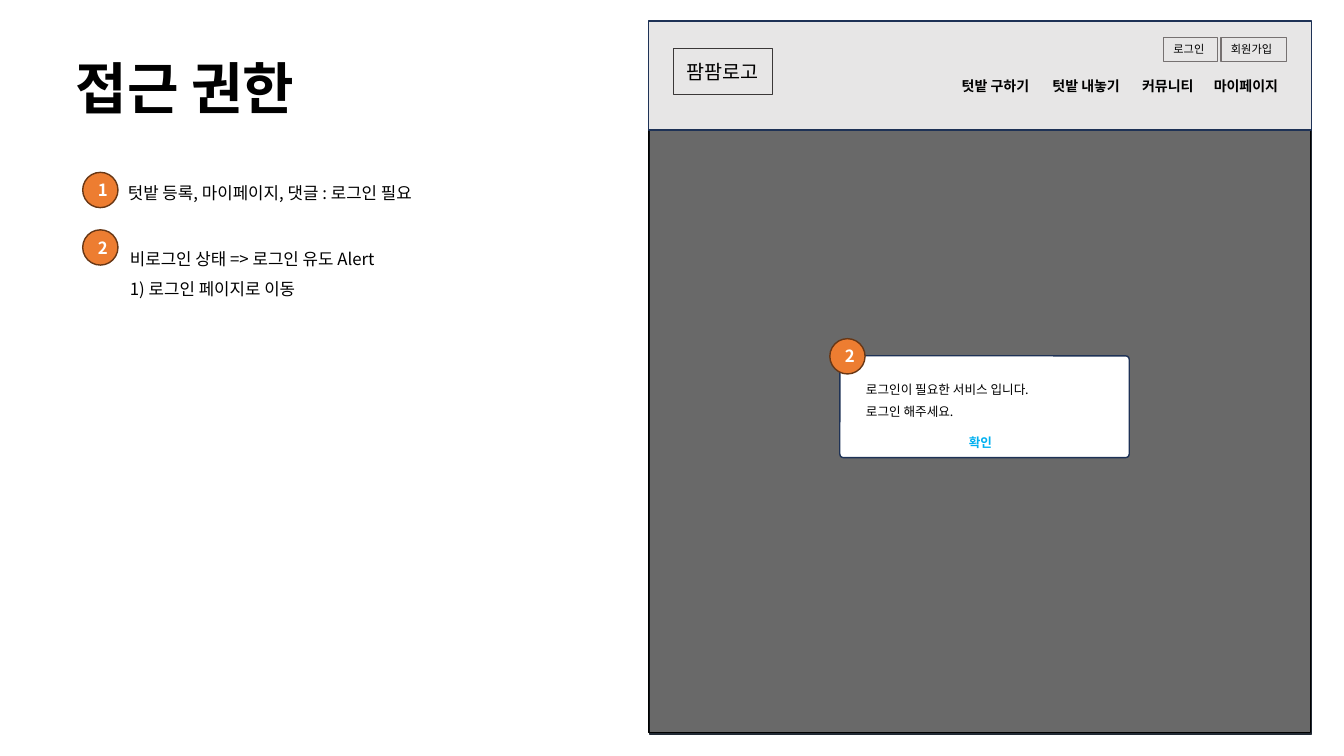
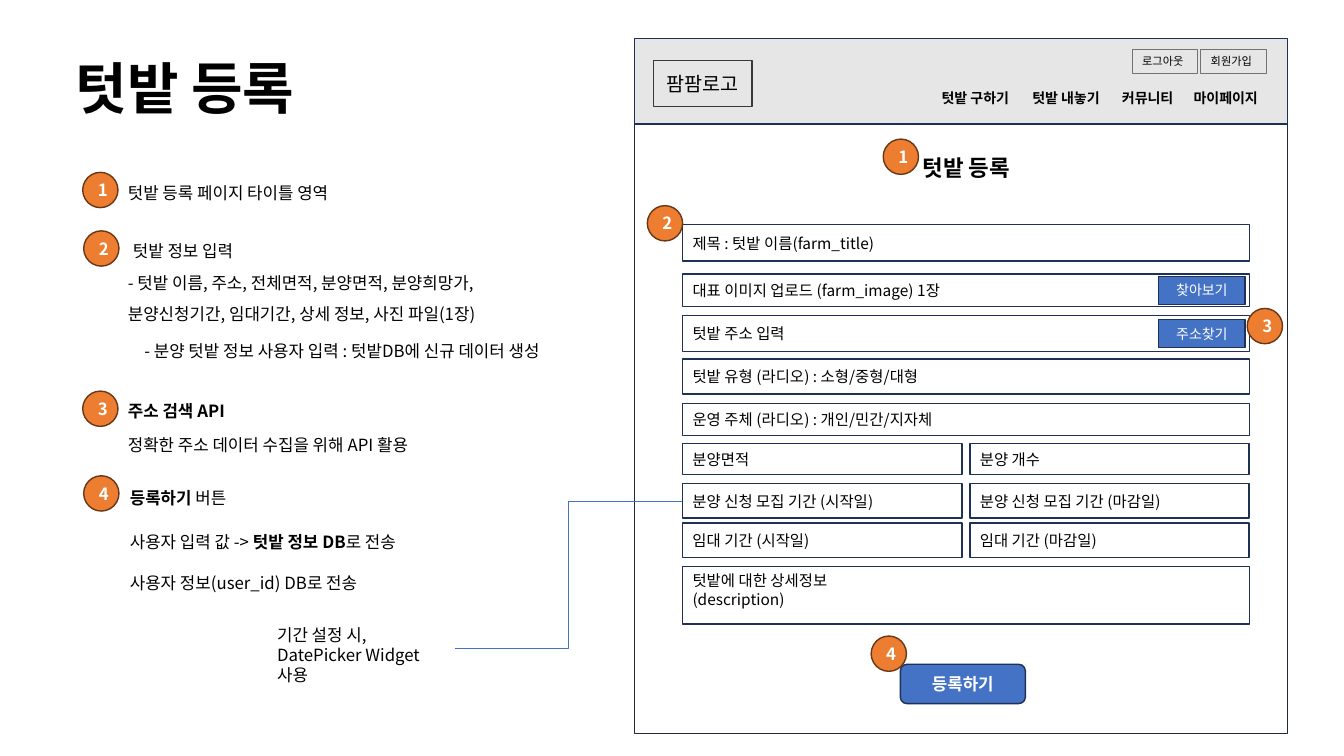
"""Builds two wireframe slides: access rights and garden registration."""
import lxml.etree
import pptx
import pptx.dml.color
import pptx.enum.shapes
import pptx.enum.text
import pptx.oxml.ns
import pptx.util

SCALE = 9144
FONT = "Noto Sans CJK KR"
COLORS = {
    "ink": "000000", "paper": "FFFFFF", "badge": "ED7D31", "badge_edge": "683715",
    "page_edge": "222A35", "edge": "1E3256", "band": "E7E6E6", "tab_edge": "767171",
    "logo_edge": "3B3838", "button": "4472C4", "confirm": "00B0F0",
}
BADGE_SIZE = 35
NAV = [("텃밭 구하기", 0, 95), ("텃밭 내놓기", 90, 95),
       ("커뮤니티", 179, 76), ("마이페이지", 250, 90)]
ALIGN = pptx.enum.text.PP_ALIGN
ANCHOR = pptx.enum.text.MSO_ANCHOR
FIT = pptx.enum.text.MSO_AUTO_SIZE
PRESET = pptx.enum.shapes.MSO_SHAPE
qn = pptx.oxml.ns.qn


def px(*lengths):
    """Turn pixel lengths into EMU."""
    return [pptx.util.Emu(length * SCALE) for length in lengths]


def rgb(name):
    """Look up a named colour."""
    return pptx.dml.color.RGBColor.from_string(COLORS[name])


def write(frame, paragraphs, size, color="ink", bold=False, align=ALIGN.LEFT, spacing=None):
    """Fill a text frame; a paragraph is a string or a list of (text, bold) runs."""
    for index, content in enumerate(paragraphs):
        paragraph = frame.add_paragraph() if index else frame.paragraphs[0]
        if isinstance(content, str):
            paragraph.text = content
            weights = [bold] * len(paragraph.runs)
        else:
            for words, _ in content:
                paragraph.add_run().text = words
            weights = [weight for _, weight in content]
        paragraph.alignment = align
        if spacing:
            paragraph.line_spacing = spacing
        for run, weight in zip(paragraph.runs, weights):
            run.font.name = FONT
            run.font.size = pptx.util.Pt(size)
            run.font.bold = weight
            run.font.color.rgb = rgb(color)
            east_asian = lxml.etree.Element(qn("a:ea"), typeface=FONT)
            run.font._element.find(qn("a:latin")).addnext(east_asian)


def hug(frame):
    """Let a frame keep its lines whole and fit its text from the top."""
    frame.word_wrap = False
    frame.auto_size = FIT.SHAPE_TO_FIT_TEXT
    frame.vertical_anchor = ANCHOR.TOP


def label(slide, box, paragraphs, size=12, **style):
    """Add a text box."""
    note = slide.shapes.add_textbox(*px(*box))
    hug(note.text_frame)
    write(note.text_frame, paragraphs, size, **style)
    return note


def panel(slide, box, fill, edge, width=1, preset=PRESET.RECTANGLE):
    """Add a filled and outlined shape."""
    shape = slide.shapes.add_shape(preset, *px(*box))
    shape.shadow.inherit = False
    if fill:
        shape.fill.solid()
        shape.fill.fore_color.rgb = rgb(fill)
    else:
        shape.fill.background()
    shape.line.color.rgb = rgb(edge)
    shape.line.width = pptx.util.Pt(width)
    return shape


def badge(slide, left, top, number):
    """Add a numbered circle."""
    circle = panel(slide, (left, top, BADGE_SIZE, BADGE_SIZE), "badge", "badge_edge",
                   preset=PRESET.OVAL)
    write(circle.text_frame, [str(number)], 12, "paper", True, ALIGN.CENTER)


def button(slide, box, caption, size=10, bold=False, preset=PRESET.RECTANGLE):
    """Add a blue button."""
    face = panel(slide, box, "button", "edge", preset=preset)
    write(face.text_frame, [caption], size, "paper", bold, ALIGN.CENTER)


def titled_slide(deck, heading):
    """Add a slide with its heading."""
    slide = deck.slides.add_slide(deck.slide_layouts[5])
    title = slide.shapes.title
    title.left, title.top, title.width, title.height = px(65, 48, 264, 77)
    hug(title.text_frame)
    write(title.text_frame, [heading], 40, bold=True)
    return slide


def site_header(slide, box, logo_offset, account, account_width):
    """Add the site band with logo, account tabs and menu."""
    panel(slide, box, "band", "edge")
    left, top = box[0] + logo_offset[0], box[1] + logo_offset[1]
    logo = panel(slide, (left, top, 98, 46), None, "logo_edge")
    write(logo.text_frame, ["팜팜로고"], 14, align=ALIGN.CENTER)
    tabs = [(account, 540 - account_width, account_width), ("회원가입", 543, 65)]
    for caption, offset, width in tabs:
        tab = panel(slide, (left + offset, top - 11, width, 24), "band", "tab_edge", 0.75)
        hug(tab.text_frame)
        write(tab.text_frame, [caption], 8)
    for caption, offset, width in NAV:
        label(slide, (left + 276 + offset, top + 24, width, 27), [caption], 10, bold=True)


def login_dialog(slide, box):
    """Add the login alert."""
    left, top, width, height = box
    dialog = panel(slide, box, "paper", "edge", preset=PRESET.ROUNDED_RECTANGLE)
    dialog.adjustments[0] = 0.035
    label(slide, (left + 16, top + 13, 205, 53),
          ["로그인이 필요한 서비스 입니다.", "로그인 해주세요."], 9, spacing=1.5)
    label(slide, (left + 118, top + 66, 45, 30), ["확인"], 9,
          color="confirm", bold=True, spacing=1.5)
    badge(slide, left - 10, top - 17, 2)


def access_notes(slide, left, top):
    """Add the notes on access rights."""
    badge(slide, left, top, 1)
    label(slide, (left + 35, top + 5, 336, 30), ["텃밭 등록, 마이페이지, 댓글 : 로그인 필요"])
    badge(slide, left, top + 57, 2)
    label(slide, (left + 37, top + 61, 295, 67),
          ["비로그인 상태 => 로그인 유도 Alert", "1) 로그인 페이지로 이동"], spacing=1.5)


def access_slide(deck):
    """Build the access rights slide."""
    slide = titled_slide(deck, "접근 권한")
    access_notes(slide, 82, 171)
    panel(slide, (644, 59, 657, 669), "paper", "page_edge")
    veil = panel(slide, (643, 58, 657, 669), "ink", "ink")
    tint = veil.element.spPr.find(qn("a:solidFill")).find(qn("a:srgbClr"))
    lxml.etree.SubElement(tint, qn("a:alpha"), val="59000")
    site_header(slide, (643, 21, 658, 108), (25, 27), "로그인", 54)
    login_dialog(slide, (833, 353, 287, 101))


def registration_notes(slide, left, top):
    """Add the notes on registration."""
    for number, (x, y) in enumerate([(0, 0), (1, 58), (0, 217), (1, 301)], 1):
        badge(slide, left + x, top + y, number)
    notes = [
        (35, 5, 246, 30, ["텃밭 등록 페이지 타이틀 영역"], {}),
        (40, 63, 133, 30, ["텃밭 정보 입력"], {}),
        (35, 85, 407, 67, ["- 텃밭 이름, 주소, 전체면적, 분양면적, 분양희망가,\v"
                           "분양신청기간, 임대기간, 상세 정보, 사진 파일(1장)"], {"spacing": 1.5}),
        (23, 162, 472, 30, ["- 분양 텃밭 정보 사용자 입력 : 텃밭DB에 신규 데이터 생성 "],
         {"align": ALIGN.CENTER}),
        (35, 222, 127, 30, ["주소 검색 API"], {"bold": True}),
        (35, 235, 334, 44, ["정확한 주소 데이터 수집을 위해 API 활용"], {"spacing": 2.0}),
        (37, 308, 127, 30, [[("등록하기", True), (" 버튼", False)]], {}),
        (37, 332, 323, 84, [[("사용자 입력 값 -> ", False), ("텃밭 정보 DB", True),
                             ("로 전송", False)], "사용자 정보(user_id) DB로 전송"],
         {"spacing": 2.0}),
    ]
    for x, y, width, height, paragraphs, style in notes:
        label(slide, (left + x, top + y, width, height), paragraphs, **style)


def registration_form(slide, box):
    """Add the rows of fields, their buttons and the submit button."""
    left, top, width, _ = box
    gap = 8
    rows = [
        (0, 36, ["제목 : 텃밭 이름(farm_title)"]),
        (49, 32, ["대표 이미지 업로드 (farm_image) 1장"]),
        (90, 36, ["텃밭 주소 입력"]),
        (133, 35, ["텃밭 유형 (라디오) : 소형/중형/대형"]),
        (177, 32, ["운영 주체 (라디오) : 개인/민간/지자체"]),
        (217, 31, ["분양면적", "분양 개수"]),
        (257, 34, ["분양 신청 모집 기간 (시작일)", "분양 신청 모집 기간 (마감일)"]),
        (296, 34, ["임대 기간 (시작일)", "임대 기간 (마감일)"]),
    ]
    for offset, height, captions in rows:
        field_width = (width - gap * (len(captions) - 1)) // len(captions)
        for column, caption in enumerate(captions):
            x = left + column * (field_width + gap)
            field = panel(slide, (x, top + offset, field_width, height), "paper", "edge")
            write(field.text_frame, [caption], 11)
    description = panel(slide, (left, top + 339, width, 57), "paper", "edge")
    description.text_frame.vertical_anchor = ANCHOR.TOP
    write(description.text_frame, ["텃밭에 대한 상세정보", "(description)"], 11)
    for offset, caption in [(51, "찾아보기"), (94, "주소찾기")]:
        button(slide, (left + 472, top + offset, 86, 28), caption)
    button(slide, (left + 216, top + 436, 124, 39), "등록하기", 12, True,
           PRESET.ROUNDED_RECTANGLE)
    for number, x, y in [(2, -35, -19), (3, 560, 83), (4, 187, 408)]:
        badge(slide, left + x, top + y, number)


def date_hint(slide, box, field_point):
    """Add the date picker hint and its elbow line to the field."""
    hint = label(slide, box, ["기간 설정 시,", "DatePicker Widget사용"])
    hint.text_frame.word_wrap = True
    elbow = slide.shapes.add_connector(
        pptx.enum.shapes.MSO_CONNECTOR.ELBOW, *px(*field_point, box[0] + 186, box[1] + 28))
    elbow.line.color.rgb = rgb("button")
    elbow.line.width = pptx.util.Pt(0.5)
    lxml.etree.SubElement(elbow.element.spPr, qn("a:effectLst"))


def registration_slide(deck):
    """Build the garden registration slide."""
    slide = titled_slide(deck, "텃밭 등록")
    registration_notes(slide, 82, 171)
    panel(slide, (629, 41, 648, 687), "paper", "page_edge")
    site_header(slide, (629, 38, 648, 85), (19, 22), "로그아웃", 65)
    label(slide, (898, 148, 126, 37), ["텃밭 등록 "], 16, bold=True, align=ALIGN.CENTER)
    badge(slide, 876, 138, 1)
    registration_form(slide, (677, 223, 562, 475))
    date_hint(slide, (265, 615, 190, 50), (677, 497))


def main():
    """Build and save the deck."""
    deck = pptx.Presentation()
    deck.slide_width, deck.slide_height = px(1333, 750)
    access_slide(deck)
    registration_slide(deck)
    deck.save("out.pptx")


if __name__ == "__main__":
    main()
